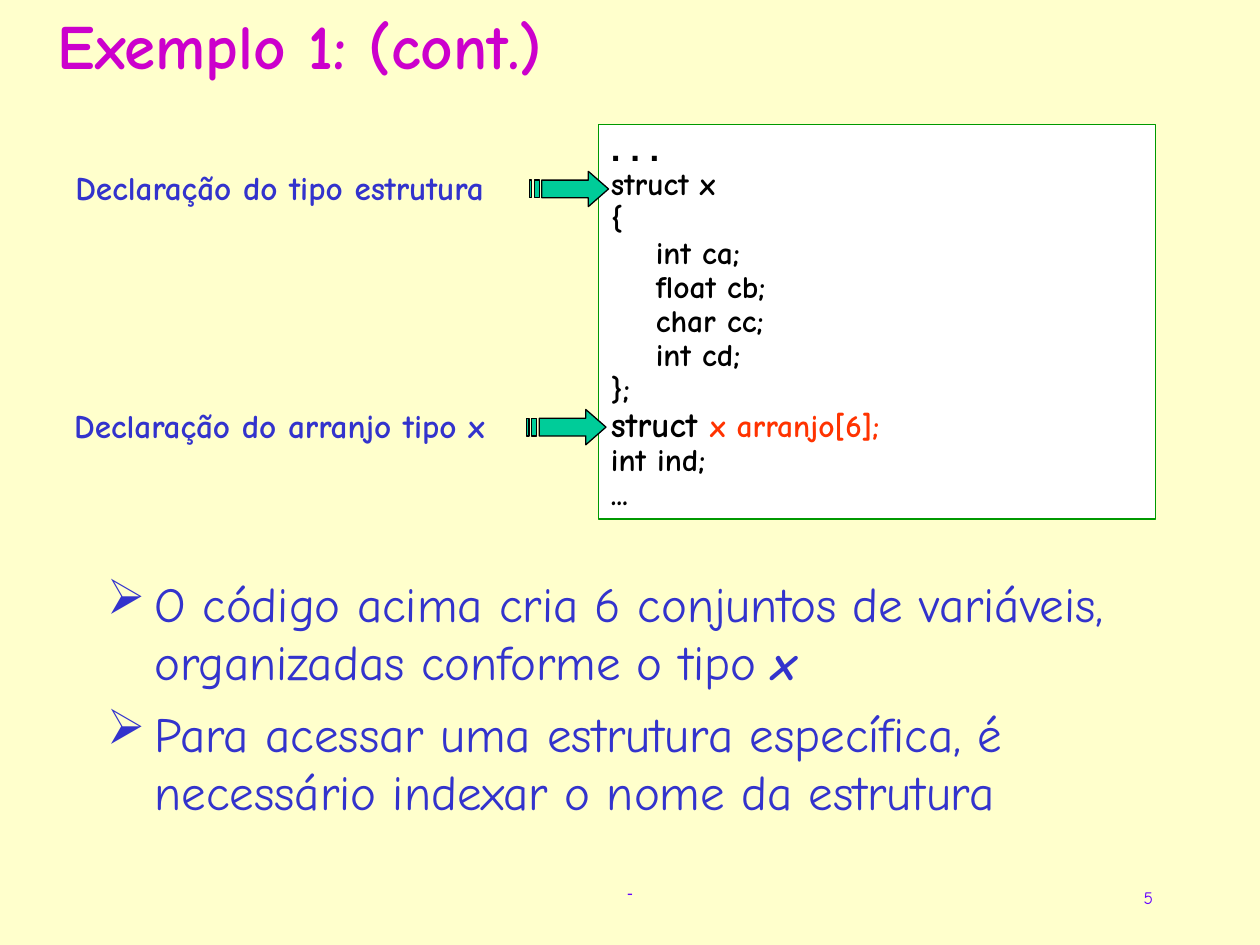
import pptx
import pptx.dml.color
import pptx.enum.shapes
import pptx.enum.text
import pptx.oxml
import pptx.oxml.ns
import pptx.util
from pptx.util import Inches

COLORS = {
    "background": "FFFFCC", "title": "CC00CC", "text": "3333CC",
    "footer": "6600FF", "code": "000000", "highlight": "FF3300",
    "panel": "FFFFFF", "border": "009900", "arrow": "00CC99",
}
FONT = "Comic Neue"


def set_font(font, size, color, name=FONT, bold=False):
    font.name, font.size, font.bold = name, pptx.util.Pt(size), bold
    font.color.rgb = pptx.dml.color.RGBColor.from_string(COLORS[color])


def add_text(page, left, top, width, height, text, wrap=False):
    box = page.shapes.add_textbox(Inches(left), Inches(top), Inches(width), Inches(height))
    box.text_frame.word_wrap = wrap
    para = box.text_frame.paragraphs[0]
    para.text = text
    return box, para


deck = pptx.Presentation()
deck.slide_width, deck.slide_height = Inches(10), Inches(7.5)
page = deck.slides.add_slide(deck.slide_layouts[6])
page.background.fill.solid()
page.background.fill.fore_color.rgb = pptx.dml.color.RGBColor.from_string(COLORS["background"])

# Footer dash and page number
box, para = add_text(page, 4.88, 6.95, 0.24, 0.27, "-")
set_font(para.font, 10, "footer", "Arial")
box, para = add_text(page, 7.17, 6.83, 2.08, 0.5, "5", wrap=True)
box.text_frame.margin_top = Inches(0.21)
para.alignment = pptx.enum.text.PP_ALIGN.RIGHT
set_font(para.font, 10, "footer")

# Title
box, para = add_text(page, 0.36, 0, 4.05, 0.7, "Exemplo 1: (cont.)")
set_font(para.font, 36, "title", bold=True)

# Code panel: each line is a list of (text, size, color, font)
code_lines = [[(". . .", 20, "code", "Arial")]]
for line in ("struct x", "{", "    int ca;", "    float cb;", "    char cc;", "    int cd;", "};"):
    code_lines.append([(line, 18, "code", FONT)])
code_lines.append([("struct ", 20, "code", FONT), ("x arranjo[6];", 18, "highlight", FONT)])
for line in ("int ind;", "..."):
    code_lines.append([(line, 18, "code", FONT)])

panel = page.shapes.add_shape(pptx.enum.shapes.MSO_SHAPE.RECTANGLE,
                              Inches(4.75), Inches(0.99), Inches(4.42), Inches(3.13))
panel.shadow.inherit = False
panel.fill.solid()
panel.fill.fore_color.rgb = pptx.dml.color.RGBColor.from_string(COLORS["panel"])
panel.line.color.rgb = pptx.dml.color.RGBColor.from_string(COLORS["border"])
panel.line.width = pptx.util.Pt(0.75)
frame = panel.text_frame
frame.word_wrap = True
frame.vertical_anchor = pptx.enum.text.MSO_ANCHOR.TOP
for index, line in enumerate(code_lines):
    para = frame.add_paragraph() if index else frame.paragraphs[0]
    para.alignment = pptx.enum.text.PP_ALIGN.LEFT
    para.line_spacing = 0.9
    for text, size, color, name in line:
        span = para.add_run()
        span.text = text
        set_font(span.font, size, color, name, bold=True)

# Callouts with striped arrows, outlines in hundredths of an inch
arrow_outlines = [
    [(47, 0), (47, 7), (10, 7), (10, 21), (47, 21), (47, 28), (63, 14)],
    [(4, 7), (4, 21), (8, 21), (8, 7)],
    [(0, 7), (0, 21), (2, 21), (2, 7)],
]
callouts = [
    ("Declaração do tipo estrutura", 0.5, 1.28, 4.2),
    ("Declaração do arranjo tipo x", 0.49, 3.17, 4.18),
]
for text, left, top, arrow_left in callouts:
    box, para = add_text(page, left, top, 3.46, 0.42, text)
    set_font(para.font, 19, "text", bold=True)
    builder = page.shapes.build_freeform(*arrow_outlines[0][0], scale=Inches(0.01))
    for number, outline in enumerate(arrow_outlines):
        if number:
            builder.move_to(*outline[0])
        builder.add_line_segments(outline[1:], close=True)
    arrow = builder.convert_to_shape(Inches(arrow_left), Inches(top + 0.08))
    arrow.shadow.inherit = False
    arrow.fill.solid()
    arrow.fill.fore_color.rgb = pptx.dml.color.RGBColor.from_string(COLORS["arrow"])
    arrow.line.color.rgb = pptx.dml.color.RGBColor.from_string(COLORS["code"])
    arrow.line.width = pptx.util.Pt(0.75)

# Bulleted explanation
box, first = add_text(page, 0.75, 4.5, 8.5, 2.17,
                      "O código acima cria 6 conjuntos de variáveis, organizadas conforme o tipo ",
                      wrap=True)
span = first.add_run()
span.text = "x"
span.font.bold = span.font.italic = True
second = box.text_frame.add_paragraph()
second.text = "Para acessar uma estrutura específica, é necessário indexar o nome da estrutura"
second.space_before = pptx.util.Pt(7)
for para in (first, second):
    properties = para._p.get_or_add_pPr()
    properties.set("marL", str(Inches(0.38)))
    properties.set("indent", str(-Inches(0.38)))
    namespace = pptx.oxml.ns.nsdecls("a")
    properties.append(pptx.oxml.parse_xml(
        f'<a:buClr {namespace}><a:srgbClr val="{COLORS["text"]}"/></a:buClr>'))
    properties.append(pptx.oxml.parse_xml(f'<a:buChar {namespace} char="➢"/>'))
    set_font(para.font, 28, "text")

deck.save("out.pptx")
